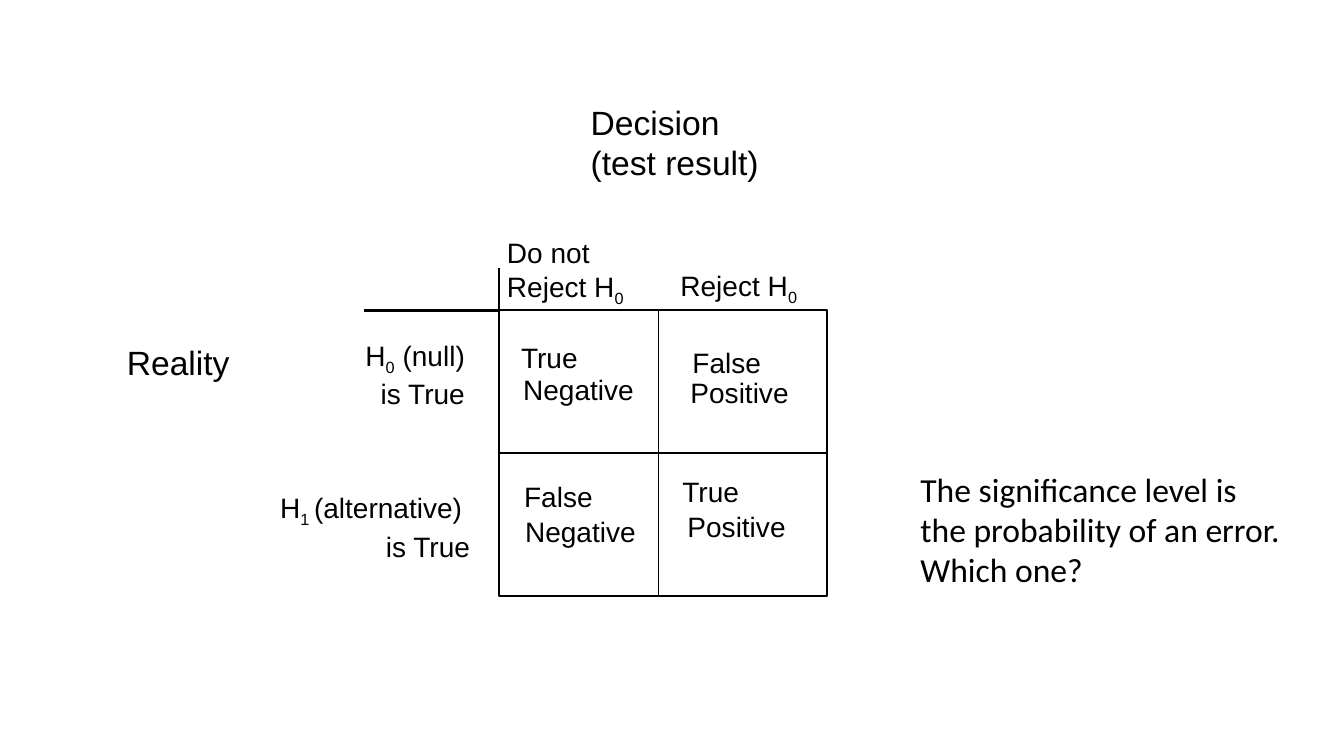
from dataclasses import dataclass

from lxml.etree import SubElement
from pptx import Presentation
from pptx.dml.color import RGBColor
from pptx.enum.shapes import MSO_CONNECTOR, MSO_SHAPE
from pptx.enum.text import MSO_ANCHOR, MSO_AUTO_SIZE, PP_ALIGN
from pptx.oxml.ns import qn
from pptx.util import Inches, Pt


@dataclass(frozen=True)
class Theme:
    """Colours, fonts and sizes of the slide."""
    ink: RGBColor = RGBColor(0, 0, 0)
    label_font: str = "Arial"
    question_font: str = "Calibri"
    label_size: int = 20
    heading_size: int = 24
    frame_width: float = 1.5
    divider_width: float = 1


THEME = Theme()


def add_text(slide, box, text, *, size=THEME.label_size, font=THEME.label_font,
             align=PP_ALIGN.LEFT, anchor=MSO_ANCHOR.TOP, wrap=False, bottom=0.05):
    """Place lines of text in a box; parts between bars are subscripts."""
    shape = slide.shapes.add_textbox(*map(Inches, box))
    frame = shape.text_frame
    frame.word_wrap = wrap
    frame.auto_size = MSO_AUTO_SIZE.NONE if wrap else MSO_AUTO_SIZE.SHAPE_TO_FIT_TEXT
    frame.vertical_anchor = anchor
    frame.margin_bottom = Inches(bottom)
    for number, line in enumerate(text.split("\n")):
        paragraph = frame.add_paragraph() if number else frame.paragraphs[0]
        paragraph.alignment = align
        for index, part in enumerate(line.split("|")):
            if not part:
                continue
            run = paragraph.add_run()
            run.text = part
            run.font.name = font
            run.font.size = Pt(size)
            run.font.color.rgb = THEME.ink
            if index % 2:
                run._r.get_or_add_rPr().set("baseline", "-25000")


def add_line(slide, start, end, width):
    """Draw a straight line between two points."""
    line = slide.shapes.add_connector(
        MSO_CONNECTOR.STRAIGHT, *map(Inches, (*start, *end)))
    line.line.color.rgb = THEME.ink
    line.line.width = Pt(width)
    SubElement(line._element.spPr, qn("a:effectLst"))
    return line


def add_matrix(slide, left, top, width, height):
    """Draw the two by two frame with its dividers and header lines."""
    frame = slide.shapes.add_shape(
        MSO_SHAPE.RECTANGLE, *map(Inches, (left, top, width, height)))
    frame.shadow.inherit = False
    frame.fill.background()
    frame.line.color.rgb = THEME.ink
    frame.line.width = Pt(THEME.frame_width)
    column, middle = left + 1.58, top + height / 2
    add_line(slide, (column, top), (column, top + height), THEME.divider_width)
    divider = add_line(slide, (left, middle), (left + width, middle), THEME.divider_width)
    divider.begin_connect(frame, 1)
    divider.end_connect(frame, 3)
    for end in ((left - 1.34, top), (left, top - 0.42)):
        add_line(slide, (left, top), end, THEME.frame_width)


def add_outcomes(slide, left, top):
    """Write the two words of each outcome inside the matrix."""
    words = (
        ("True", 0.12, 0.14), ("False", 1.82, 0.19),
        ("False", 0.15, 1.52), ("True", 1.72, 1.47),
    )
    for word, across, down in words:
        add_text(slide, (left + across, top + down, 1.36, 0.65), word,
                 anchor=MSO_ANCHOR.MIDDLE, wrap=True)
    kinds = (
        ("Negative", 0.14, 0.2), ("Positive", 1.8, 0.23),
        ("Negative", 0.16, 1.61), ("Positive", 1.77, 1.56),
    )
    for kind, across, down in kinds:
        add_text(slide, (left + across, top + down, 1.36, 0.87), kind,
                 anchor=MSO_ANCHOR.BOTTOM, wrap=True, bottom=0.12)


def add_labels(slide, left, top):
    """Name the decision columns and the reality rows around the matrix."""
    add_text(slide, (left + 0.81, top - 2.12, 1.88, 0.91), "Decision\n(test result)",
             size=THEME.heading_size)
    add_text(slide, (left - 3.79, top + 0.26, 1.23, 0.5), "Reality",
             size=THEME.heading_size)
    add_text(slide, (left - 0.02, top - 0.79, 1.38, 0.77), "Do not\nReject H|0|")
    add_text(slide, (left + 1.7, top - 0.47, 1.38, 0.44), "Reject H|0|")
    add_text(slide, (left - 1.5, top + 0.23, 1.26, 0.77), "H|0| (null) \nis True",
             align=PP_ALIGN.RIGHT)
    add_text(slide, (left - 2.31, top + 1.74, 2.12, 0.77),
             "H|1 |(alternative) \nis True", align=PP_ALIGN.RIGHT)


def main():
    """Build the slide and save it."""
    presentation = Presentation()
    presentation.slide_width = Inches(13.33)
    presentation.slide_height = Inches(7.5)
    slide = presentation.slides.add_slide(presentation.slide_layouts[6])
    left, top = 4.95, 3.08
    add_matrix(slide, left, top, 3.25, 2.83)
    add_outcomes(slide, left, top)
    add_labels(slide, left, top)
    add_text(slide, (9.03, 4.6, 3.95, 1.31),
             "The significance level is\nthe probability of an error.\nWhich one?",
             size=THEME.heading_size, font=THEME.question_font)
    presentation.save("out.pptx")


if __name__ == "__main__":
    main()
